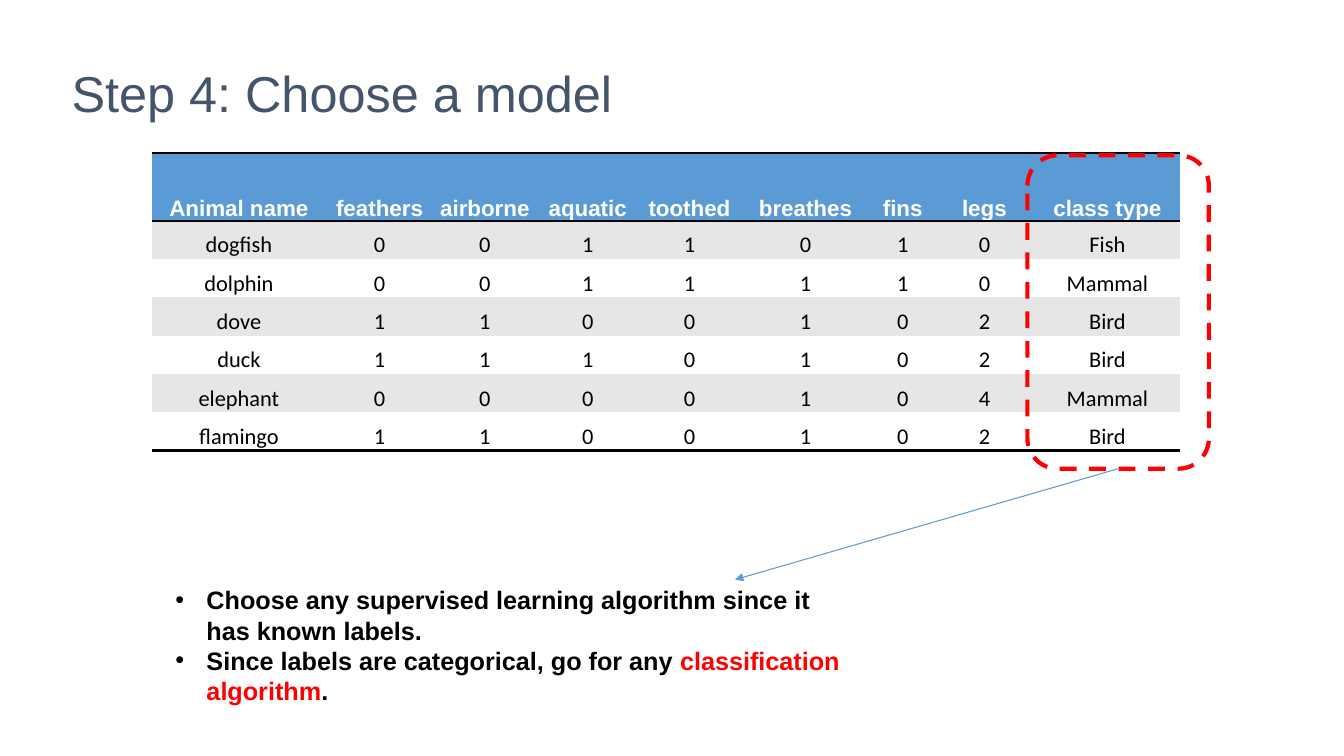
from lxml.etree import SubElement
from pptx import Presentation
from pptx.dml.color import RGBColor
from pptx.enum.dml import MSO_LINE
from pptx.enum.shapes import MSO_CONNECTOR, MSO_SHAPE
from pptx.enum.text import MSO_ANCHOR, MSO_AUTO_SIZE, PP_ALIGN
from pptx.oxml.ns import qn
from pptx.util import Inches, Pt

COLORS = {
    "title": "44546A", "blue": "5B9BD5", "band": "E6E6E6",
    "white": "FFFFFF", "black": "000000", "red": "FF0000",
}
NO_STYLE = "{2D5ABB26-0587-4C30-8999-92F81FD0307C}"
COLUMN_WIDTHS = [1.72, 1.07, 1.02, 1.02, 1, 1.3, 0.63, 0.99, 1.45]
HEADER_HEIGHT, ANIMAL_HEIGHT = 0.67, 0.38
ANIMALS = [
    ["Animal name", "feathers", "airborne", "aquatic", "toothed",
     "breathes", "fins", "legs", "class type"],
    ["dogfish", 0, 0, 1, 1, 0, 1, 0, "Fish"],
    ["dolphin", 0, 0, 1, 1, 1, 1, 0, "Mammal"],
    ["dove", 1, 1, 0, 0, 1, 0, 2, "Bird"],
    ["duck", 1, 1, 1, 0, 1, 0, 2, "Bird"],
    ["elephant", 0, 0, 0, 0, 1, 0, 4, "Mammal"],
    ["flamingo", 1, 1, 0, 0, 1, 0, 2, "Bird"],
]
ADVICE = [
    [("Choose any supervised learning algorithm since it has known labels.", "black")],
    [("Since labels are categorical, go for any ", "black"),
     ("classification algorithm", "red"), (".", "black")],
]


def rgb(name):
    """Return the named colour."""
    return RGBColor.from_string(COLORS[name])


def style_font(font, size, color, bold=False, face="Arial"):
    """Apply face, size, colour and weight to a font."""
    font.name, font.size, font.bold = face, Pt(size), bold
    font.color.rgb = rgb(color)


def add_title(slide, left, top, width, height):
    """Place and format the slide title."""
    title = slide.shapes.title
    title.left, title.top, title.width, title.height = map(
        Inches, (left, top, width, height))
    frame = title.text_frame
    frame.text = "Step 4: Choose a model"
    frame.auto_size = MSO_AUTO_SIZE.NONE
    frame.vertical_anchor = MSO_ANCHOR.TOP
    heading = frame.paragraphs[0]
    heading.alignment = PP_ALIGN.LEFT
    style_font(heading.runs[0].font, 36, "title")


def add_rule(cell, side):
    """Draw a black rule on one side of a table cell."""
    rule = SubElement(cell._tc.get_or_add_tcPr(), qn(f"a:{side}"), w=str(Pt(2)))
    fill = SubElement(rule, qn("a:solidFill"))
    SubElement(fill, qn("a:srgbClr"), val=COLORS["black"])


def format_cell(cell, value, row):
    """Fill in one cell according to its row."""
    is_header = row == 0
    cell.text = str(value)
    cell.vertical_anchor = MSO_ANCHOR.BOTTOM
    cell.margin_left = cell.margin_right = cell.margin_top = Inches(0.01)
    cell.margin_bottom = 0
    if is_header:
        add_rule(cell, "lnT")
    if is_header or row == len(ANIMALS) - 1:
        add_rule(cell, "lnB")
    cell.fill.solid()
    cell.fill.fore_color.rgb = rgb(
        "blue" if is_header else "band" if row % 2 else "white")
    entry = cell.text_frame.paragraphs[0]
    entry.alignment = PP_ALIGN.CENTER
    style_font(entry.runs[0].font, 16, "white" if is_header else "black",
               is_header, "Arial" if is_header else "Calibri")


def add_animal_table(slide, left, top):
    """Build the table of animals and their features."""
    height = HEADER_HEIGHT + ANIMAL_HEIGHT * (len(ANIMALS) - 1)
    frame = slide.shapes.add_table(
        len(ANIMALS), len(COLUMN_WIDTHS), Inches(left), Inches(top),
        Inches(sum(COLUMN_WIDTHS)), Inches(height))
    next(frame.element.iter(qn("a:tableStyleId"))).text = NO_STYLE
    table = frame.table
    for column, width in zip(table.columns, COLUMN_WIDTHS):
        column.width = Inches(width)
    for row, animal in enumerate(ANIMALS):
        table.rows[row].height = Inches(ANIMAL_HEIGHT if row else HEADER_HEIGHT)
        for column, value in enumerate(animal):
            format_cell(table.cell(row, column), value, row)


def add_label_highlight(slide, left, top, width, height):
    """Outline the class type column with red dashes."""
    highlight = slide.shapes.add_shape(
        MSO_SHAPE.ROUNDED_RECTANGLE, *map(Inches, (left, top, width, height)))
    highlight.shadow.inherit = False
    highlight.fill.background()
    highlight.line.color.rgb = rgb("red")
    highlight.line.width = Pt(3)
    highlight.line.dash_style = MSO_LINE.DASH
    return highlight


def add_advice_arrow(slide, highlight, end_x, end_y):
    """Lead from the highlighted column to the advice."""
    arrow = slide.shapes.add_connector(
        MSO_CONNECTOR.STRAIGHT, 0, 0, Inches(end_x), Inches(end_y))
    arrow.begin_connect(highlight, 2)
    arrow.line.color.rgb = rgb("blue")
    arrow.line.width = Pt(0.75)
    SubElement(arrow.line._get_or_add_ln(), qn("a:tailEnd"), type="triangle")
    SubElement(arrow.element.spPr, qn("a:effectLst"))


def add_advice(slide, left, top, width, height):
    """Write the bulleted advice on choosing an algorithm."""
    frame = slide.shapes.add_textbox(
        *map(Inches, (left, top, width, height))).text_frame
    frame.word_wrap = True
    for index, parts in enumerate(ADVICE):
        point = frame.add_paragraph() if index else frame.paragraphs[0]
        properties = point._p.get_or_add_pPr()
        properties.set("marL", str(Inches(0.31)))
        properties.set("indent", str(-Inches(0.31)))
        bullet_color = SubElement(properties, qn("a:buClr"))
        SubElement(bullet_color, qn("a:srgbClr"), val=COLORS["black"])
        SubElement(properties, qn("a:buFont"), typeface="Arial")
        SubElement(properties, qn("a:buChar"), char="•")
        for text, color in parts:
            run = point.add_run()
            run.text = text
            style_font(run.font, 18, color, bold=True)


def build_model_slide(deck):
    """Compose the slide on choosing a model."""
    slide = deck.slides.add_slide(deck.slide_layouts[5])
    add_title(slide, 0.61, 0.57, 10.8, 0.7)
    add_animal_table(slide, 1.51, 1.52)
    highlight = add_label_highlight(slide, 10.19, 1.54, 1.8, 3.11)
    add_advice_arrow(slide, highlight, 7.29, 5.75)
    add_advice(slide, 1.64, 5.75, 6.86, 1.31)


def main():
    """Create and save the presentation."""
    deck = Presentation()
    deck.slide_width, deck.slide_height = Inches(13.33), Inches(7.5)
    build_model_slide(deck)
    deck.save("out.pptx")


if __name__ == "__main__":
    main()
